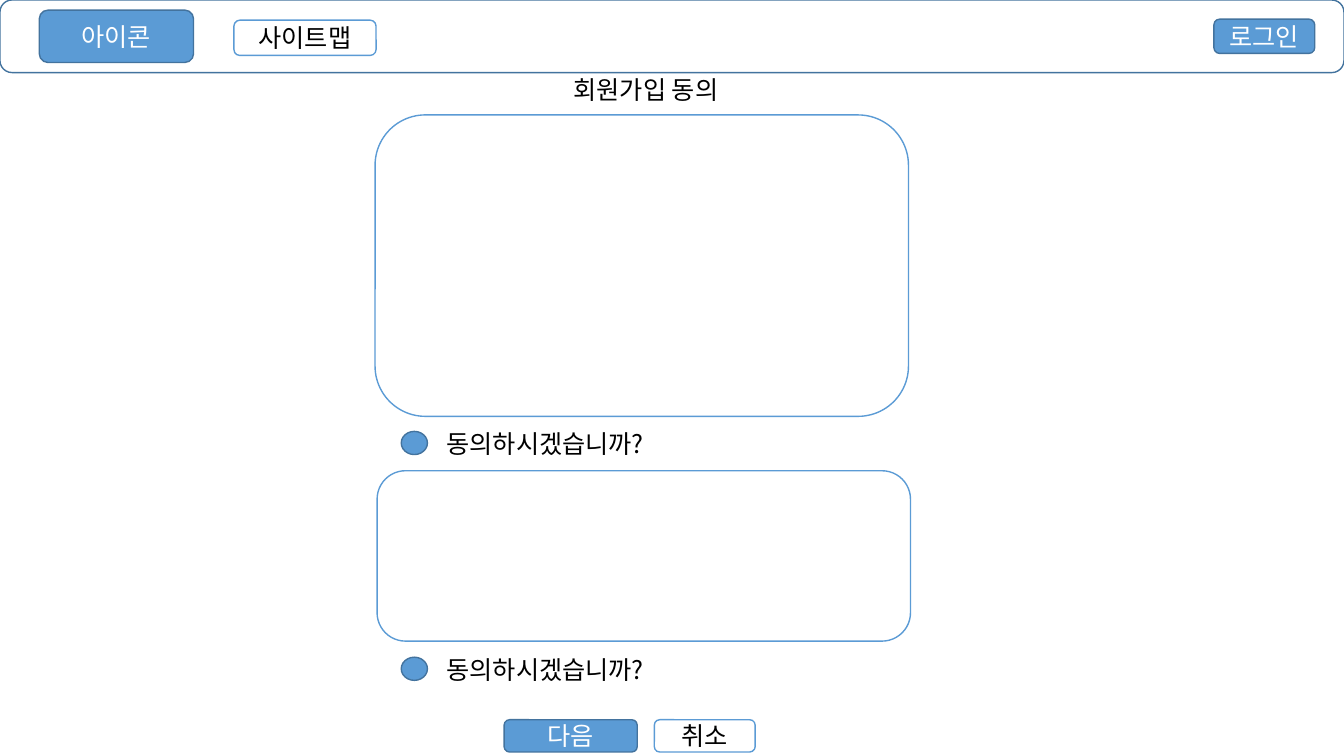
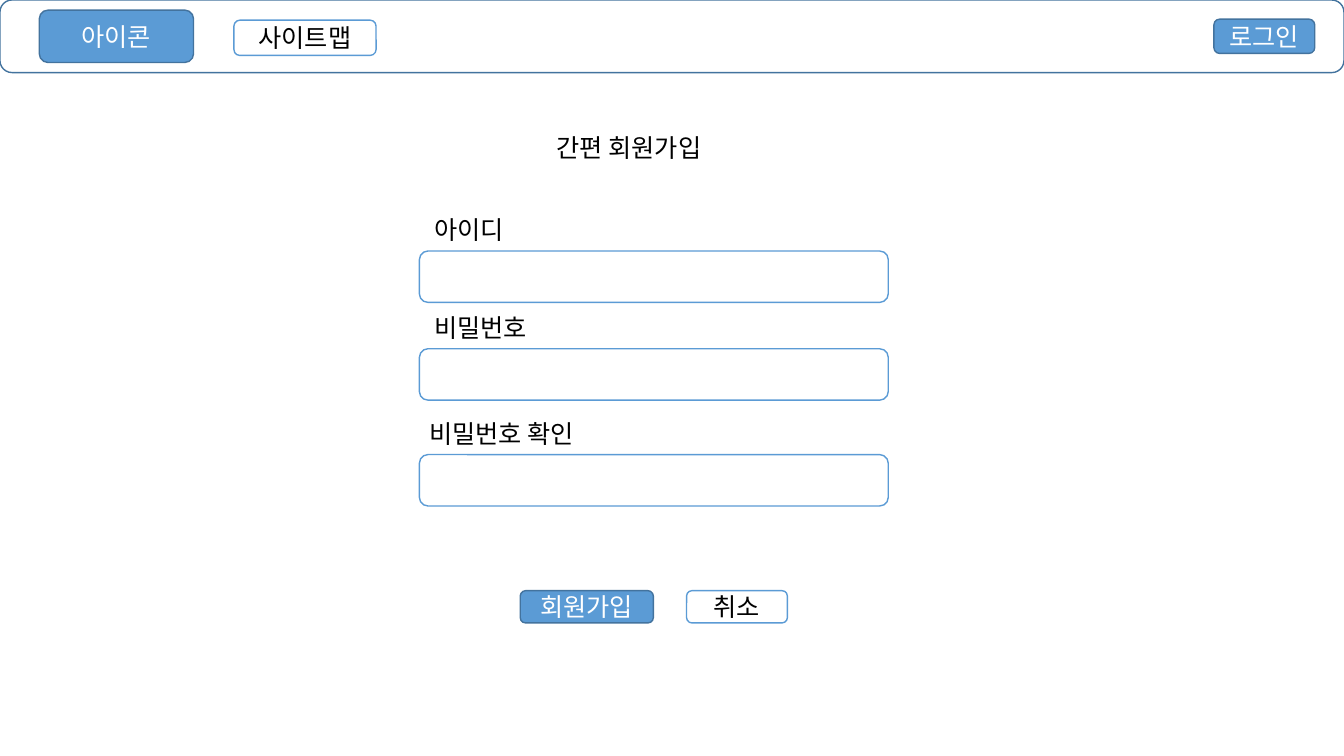
import lxml.etree
import pptx
import pptx.dml.color
import pptx.enum.shapes
import pptx.enum.text
import pptx.oxml.ns
import pptx.util

SHAPES = pptx.enum.shapes.MSO_SHAPE
Inches = pptx.util.Inches
SLIDE_WIDTH, SLIDE_HEIGHT = 13.33, 7.5
FONT = "Noto Sans CJK KR"
COLORS = {
    "white": "FFFFFF",
    "black": "000000",
    "blue": "5B9BD5",
    "dark_blue": "43739E",
}
# Each style gives fill, line and text colours.
STYLES = {
    "solid": ("blue", "dark_blue", "white"),
    "outline": ("white", "blue", "black"),
    "bar": ("white", "dark_blue", "black"),
}
LABEL_HEIGHT = 0.4


def color(name):
    return pptx.dml.color.RGBColor.from_string(COLORS[name])


def write_text(frame, text, text_color="black", size=18, align=None):
    paragraph = frame.paragraphs[0]
    paragraph.alignment = align
    run = paragraph.add_run()
    run.text = text
    run.font.size = pptx.util.Pt(size)
    run.font.color.rgb = color(text_color)
    run.font.name = FONT
    # Hangul takes the East Asian typeface, which font.name does not set.
    east_asian = lxml.etree.SubElement(run.font._element, pptx.oxml.ns.qn("a:ea"))
    east_asian.set("typeface", FONT)


def add_box(slide, left, top, width, height, text="", style="outline",
            kind=SHAPES.ROUNDED_RECTANGLE):
    fill, line, text_color = STYLES[style]
    shape = slide.shapes.add_shape(
        kind, Inches(left), Inches(top), Inches(width), Inches(height))
    shape.shadow.inherit = False
    shape.fill.solid()
    shape.fill.fore_color.rgb = color(fill)
    shape.line.color.rgb = color(line)
    shape.line.width = pptx.util.Pt(1)
    if text:
        shape.text_frame.vertical_anchor = pptx.enum.text.MSO_ANCHOR.MIDDLE
        write_text(shape.text_frame, text, text_color=text_color,
                   align=pptx.enum.text.PP_ALIGN.CENTER)


def add_label(slide, left, top, width, text):
    label = slide.shapes.add_textbox(
        Inches(left), Inches(top), Inches(width), Inches(LABEL_HEIGHT))
    label.text_frame.word_wrap = False
    label.text_frame.auto_size = pptx.enum.text.MSO_AUTO_SIZE.SHAPE_TO_FIT_TEXT
    write_text(label.text_frame, text)


def add_header(slide, left, top, width, height):
    add_box(slide, left, top, width, height, style="bar")
    add_box(slide, left + 0.39, top + 0.1, 1.53, height - 0.2, "아이콘", style="solid")
    add_box(slide, left + 2.32, top + 0.2, 1.41, 0.35, "사이트맵")
    add_box(slide, left + width - 1.29, top + 0.19, 1, 0.34, "로그인", style="solid")


def add_agreement(slide, left, top, width, height, question_left, question_top):
    """Add a terms panel and, below it, a radio button with its question."""
    add_box(slide, left, top, width, height)
    add_box(slide, question_left, question_top + 0.08, 0.26, 0.23,
            style="solid", kind=SHAPES.OVAL)
    add_label(slide, question_left + 0.35, question_top, 2.34, "동의하시겠습니까?")


def add_field(slide, left, top, width, label, label_indent, label_width):
    """Add an input box with its label above it."""
    add_label(slide, left + label_indent, top - LABEL_HEIGHT - 0.01, label_width, label)
    add_box(slide, left, top, width, 0.51)


def add_actions(slide, left, top, gap, confirm):
    """Add the confirm button and, after the gap, the cancel button."""
    confirm_width, cancel_width, height = 1.32, 1, 0.32
    add_box(slide, left, top, confirm_width, height, confirm, style="solid")
    add_box(slide, left + confirm_width + gap, top, cancel_width, height, "취소")


def add_page(presentation):
    slide = presentation.slides.add_slide(presentation.slide_layouts[6])
    add_header(slide, 0, 0, SLIDE_WIDTH, 0.72)
    return slide


def build_agreement_page(presentation):
    slide = add_page(presentation)
    add_label(slide, 5.59, 0.69, 1.81, "회원가입 동의")
    for left, top, height, question_top in ((3.72, 1.14, 2.99, 4.2),
                                            (3.74, 4.67, 1.69, 6.44)):
        add_agreement(slide, left, top, 5.29, height, 3.98, question_top)
    add_actions(slide, 5, 7.14, 0.17, "다음")


def build_sign_up_page(presentation):
    slide = add_page(presentation)
    add_label(slide, 5.42, 1.26, 1.81, "간편 회원가입")
    for top, label, indent, label_width in ((2.49, "아이디", 0.05, 0.96),
                                            (3.46, "비밀번호", 0.05, 1.21),
                                            (4.51, "비밀번호 확인", 0, 1.81)):
        add_field(slide, 4.16, top, 4.65, label, indent, label_width)
    add_actions(slide, 5.16, 5.86, 0.33, "회원가입")


def main():
    presentation = pptx.Presentation()
    presentation.slide_width = Inches(SLIDE_WIDTH)
    presentation.slide_height = Inches(SLIDE_HEIGHT)
    build_agreement_page(presentation)
    build_sign_up_page(presentation)
    presentation.save("out.pptx")


if __name__ == "__main__":
    main()
